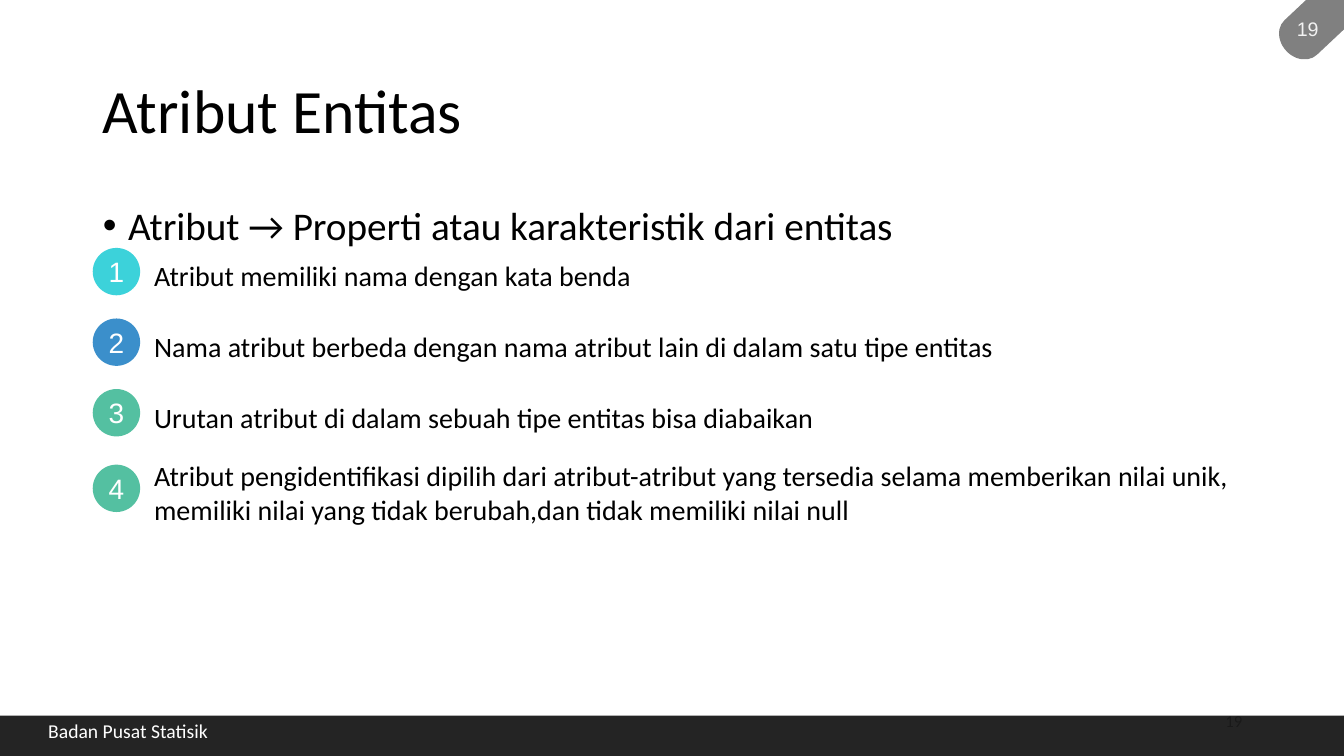
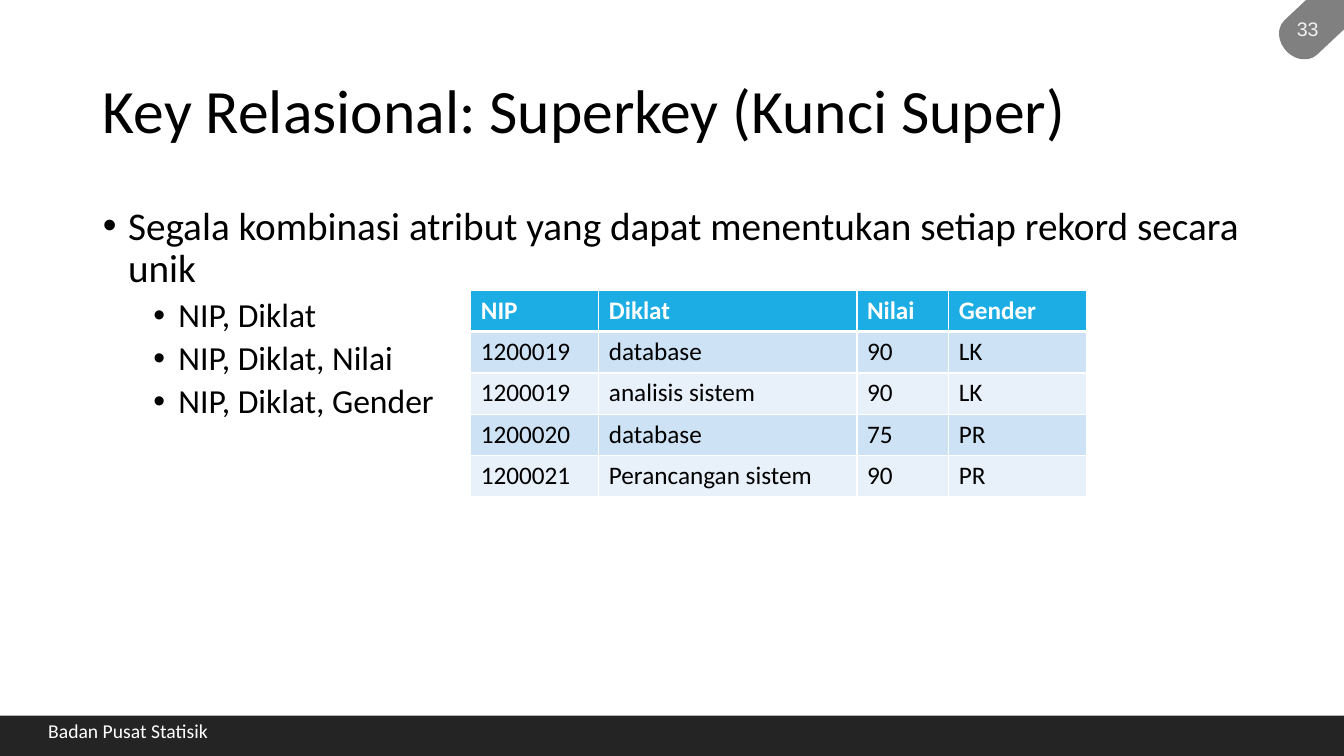
from dataclasses import dataclass
from typing import NamedTuple

from lxml import etree
from pptx import Presentation
from pptx.dml.color import RGBColor
from pptx.enum.shapes import MSO_SHAPE
from pptx.enum.text import MSO_ANCHOR, MSO_AUTO_SIZE, PP_ALIGN
from pptx.oxml.ns import qn
from pptx.util import Inches, Pt

RECTANGLE = MSO_SHAPE.RECTANGLE
ELLIPSE = MSO_SHAPE.OVAL
ONLINE_STORAGE = MSO_SHAPE.FLOWCHART_STORED_DATA
TOP, MIDDLE = MSO_ANCHOR.TOP, MSO_ANCHOR.MIDDLE
LEFT, CENTER, RIGHT = PP_ALIGN.LEFT, PP_ALIGN.CENTER, PP_ALIGN.RIGHT
NO_AUTOFIT = MSO_AUTO_SIZE.NONE


@dataclass(frozen=True)
class Theme:
    """Colours, fonts and type sizes of the presentation."""

    text: str = "000000"
    light: str = "FFFFFF"
    muted: str = "8C8C8C"
    badge: str = "808080"
    badge_text: str = "F2F2F2"
    footer: str = "0D0D0D"
    cyan: str = "27CED7"
    blue: str = "2683C6"
    green: str = "42BA97"
    header: str = "1CADE4"
    bands: tuple = ("CDE3F5", "E8F1FA")
    body_font: str = "Calibri"
    number_font: str = "Arial"
    title_size: int = 44
    level_sizes: tuple = (28, 24)
    item_size: int = 20
    table_size: int = 18
    small_size: int = 14
    page_size: int = 12
    opacity: int = 90


class Box(NamedTuple):
    """A rectangle in inches."""

    left: float
    top: float
    width: float
    height: float

    def lengths(self):
        """Return the four measures as lengths."""
        return [Inches(value) for value in self]


THEME = Theme()
SLIDE = Box(0, 0, 13.33, 7.5)
TITLE = Box(0.92, 0.4, 11.5, 1.45)
BODY = Box(0.92, 2, 11.5, 4.76)
FOOTER = Box(0, 7.1, 13.33, 0.4)
BADGE = Box(12.6, -0.13, 1.17, 0.47)
PAGE = Box(9.42, 6.95, 3, 0.4)
ITEMS = Box(0.92, 2.46, 11.5, 2.62)
TABLE = Box(4.67, 2.88, 6.11, 2.05)


def apply_format(target, values):
    """Set each named attribute of the target."""
    for name, value in values.items():
        setattr(target, name, value)


def write(paragraph, text, size, color=THEME.text, font=THEME.body_font, bold=False, **layout):
    """Write one formatted run and lay out its paragraph."""
    run = paragraph.add_run()
    run.text = text
    apply_format(run.font, {"name": font, "size": Pt(size), "bold": bold})
    run.font.color.rgb = RGBColor.from_string(color)
    apply_format(paragraph, layout)


def add_text(slide, box, text, size, anchor=TOP, **style):
    """Add a wrapping text box holding one paragraph."""
    frame = slide.shapes.add_textbox(*box.lengths()).text_frame
    apply_format(frame, {"word_wrap": True, "vertical_anchor": anchor})
    write(frame.paragraphs[0], text, size, **style)


def add_filled(slide, kind, box, color, opacity=100):
    """Add a plain shape without outline or shadow."""
    shape = slide.shapes.add_shape(kind, *box.lengths())
    shape.shadow.inherit = False
    shape.line.fill.background()
    shape.fill.solid()
    shape.fill.fore_color.rgb = RGBColor.from_string(color)
    if opacity < 100:
        color_element = shape._element.spPr.find(qn("a:solidFill"))[0]
        etree.SubElement(color_element, qn("a:alpha"), val=str(opacity * 1000))
    return shape


def place_title(slide, box, text):
    """Fill the title placeholder."""
    title = slide.shapes.title
    apply_format(title, dict(zip(box._fields, box.lengths())))
    apply_format(title.text_frame, {"auto_size": NO_AUTOFIT, "vertical_anchor": MIDDLE})
    write(title.text_frame.paragraphs[0], text, THEME.title_size, alignment=LEFT, line_spacing=0.9)


def place_body(slide, box, entries):
    """Fill the body placeholder with (level, text) bullets."""
    body = slide.placeholders[1]
    apply_format(body, dict(zip(box._fields, box.lengths())))
    frame = body.text_frame
    frame.auto_size = NO_AUTOFIT
    for index, (level, text) in enumerate(entries):
        paragraph = frame.add_paragraph() if index else frame.paragraphs[0]
        write(paragraph, text, THEME.level_sizes[level], level=level,
              line_spacing=0.9, space_before=Pt(5 if level else 10))
        properties = paragraph._p.get_or_add_pPr()
        properties.set("marL", str(Inches(0.25 + 0.5 * level)))
        properties.set("indent", str(Inches(-0.25)))
        etree.SubElement(properties, qn("a:buFont"), typeface=THEME.number_font)
        etree.SubElement(properties, qn("a:buChar"), char="•")


def place_footer(slide, box):
    """Draw the footer band with the institution name."""
    add_filled(slide, RECTANGLE, box, THEME.footer, THEME.opacity)
    label = Box(box.left + 0.38, box.top + 0.01, 2.2, 0.31)
    add_text(slide, label, "Badan Pusat Statisik", THEME.small_size,
             color=THEME.light, line_spacing=0.9)


def place_badge(slide, box, number):
    """Draw the tilted corner badge with the page number."""
    add_filled(slide, ONLINE_STORAGE, box, THEME.badge).rotation = 316.8
    label = Box(box.left + 0.14, box.top + 0.25, 0.46, 0.34)
    add_text(slide, label, number, THEME.small_size, color=THEME.badge_text,
             font=THEME.number_font, alignment=CENTER)


def place_items(slide, box, items):
    """Draw numbered circles with a text beside each."""
    diameter, text_height, text_offset = 0.47, 0.77, 0.51
    for number, (offset, color, text) in enumerate(items, 1):
        top = box.top + offset
        circle = add_filled(slide, ELLIPSE, Box(box.left, top, diameter, diameter),
                            color, THEME.opacity)
        frame = circle.text_frame
        margins = ("margin_left", "margin_top", "margin_right", "margin_bottom")
        apply_format(frame, {**dict.fromkeys(margins, 0), "vertical_anchor": MIDDLE})
        write(frame.paragraphs[0], str(number), THEME.item_size, color=THEME.light,
              font=THEME.number_font, alignment=CENTER)
        text_top = top + (diameter - text_height) / 2 + 0.04
        text_box = Box(box.left + text_offset, text_top, box.width - text_offset, text_height)
        add_text(slide, text_box, text, THEME.item_size, anchor=MIDDLE)


def add_borders(cell, widths):
    """Draw the light cell borders with the given point widths."""
    properties = cell._tc.get_or_add_tcPr()
    for edge, width in widths.items():
        line = etree.SubElement(properties, qn(f"a:ln{edge}"), w=str(Pt(width)))
        fill = etree.SubElement(line, qn("a:solidFill"))
        etree.SubElement(fill, qn("a:srgbClr"), val=THEME.light)


def place_table(slide, box, widths, rows):
    """Add a table with a header row and alternating bands."""
    table = slide.shapes.add_table(len(rows), len(widths), *box.lengths()).table
    for column, width in zip(table.columns, widths):
        column.width = Inches(width)
    for row_index, values in enumerate(rows):
        header = row_index == 0
        color = THEME.header if header else THEME.bands[(row_index - 1) % 2]
        edges = {"L": 1, "R": 1, "T": 3 if row_index == 1 else 1, "B": 3 if header else 1}
        for column_index, value in enumerate(values):
            cell = table.cell(row_index, column_index)
            add_borders(cell, edges)
            cell.fill.solid()
            cell.fill.fore_color.rgb = RGBColor.from_string(color)
            write(cell.text_frame.paragraphs[0], value, THEME.table_size,
                  color=THEME.light if header else THEME.text, bold=header)


def start_slide(presentation, title, entries, number):
    """Add a slide with its title, list and corner badge."""
    slide = presentation.slides.add_slide(presentation.slide_layouts[1])
    place_title(slide, TITLE, title)
    place_body(slide, BODY, entries)
    place_badge(slide, BADGE, number)
    return slide


def build_attributes(presentation):
    """Build the slide on entity attributes."""
    slide = start_slide(presentation, "Atribut Entitas",
                        [(0, "Atribut → Properti atau karakteristik dari entitas")], "19")
    add_text(slide, PAGE, "19", THEME.page_size, anchor=MIDDLE, color=THEME.muted,
             alignment=RIGHT)
    place_items(slide, ITEMS, [
        (0, THEME.cyan, "Atribut memiliki nama dengan kata benda"),
        (0.7, THEME.blue,
         "Nama atribut berbeda dengan nama atribut lain di dalam satu tipe entitas"),
        (1.4, THEME.green, "Urutan atribut di dalam sebuah tipe entitas bisa diabaikan"),
        (2.15, THEME.green,
         "Atribut pengidentifikasi dipilih dari atribut-atribut yang tersedia selama "
         "memberikan nilai unik, memiliki nilai yang tidak berubah,dan tidak memiliki "
         "nilai null"),
    ])
    place_footer(slide, FOOTER)


def build_superkey(presentation):
    """Build the slide on super keys."""
    slide = start_slide(presentation, "Key Relasional: Superkey (Kunci Super)", [
        (0, "Segala kombinasi atribut yang dapat menentukan setiap rekord secara unik"),
        (1, "NIP, Diklat"),
        (1, "NIP, Diklat, Nilai"),
        (1, "NIP, Diklat, Gender"),
    ], "33")
    place_table(slide, TABLE, (1.27, 2.56, 0.91, 1.37), [
        ("NIP", "Diklat", "Nilai", "Gender"),
        ("1200019", "database", "90", "LK"),
        ("1200019", "analisis sistem", "90", "LK"),
        ("1200020", "database", "75", "PR"),
        ("1200021", "Perancangan sistem", "90", "PR"),
    ])
    place_footer(slide, FOOTER)


def main():
    """Build and save the presentation."""
    presentation = Presentation()
    apply_format(presentation, {"slide_width": Inches(SLIDE.width),
                                "slide_height": Inches(SLIDE.height)})
    build_attributes(presentation)
    build_superkey(presentation)
    presentation.save("out.pptx")


if __name__ == "__main__":
    main()
